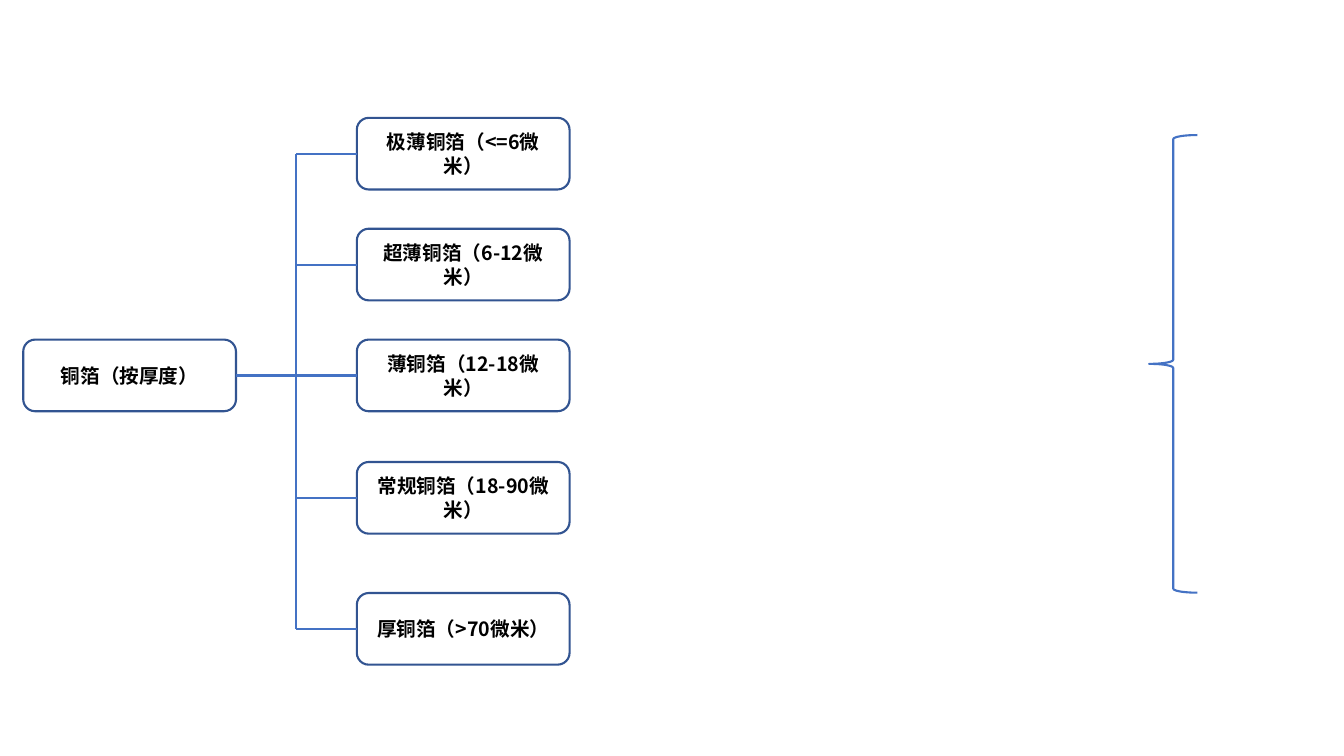
from lxml.etree import SubElement
from pptx import Presentation
from pptx.dml.color import RGBColor
from pptx.enum.shapes import MSO_CONNECTOR, MSO_SHAPE
from pptx.enum.text import MSO_ANCHOR, PP_ALIGN
from pptx.oxml.ns import qn
from pptx.util import Pt

ROOT = ("铜箔（按厚度）", 242.6)
GRADES = [
    ("极薄铜箔（<=6微米）", 84.2),
    ("超薄铜箔（6-12微米）", 163.4),
    ("薄铜箔（12-18微米）", 242.6),
    ("常规铜箔（18-90微米）", 330),
    ("厚铜箔（>70微米）", 423.6),
]
COLORS = {"border": "325491", "line": "4472C4", "text": "000000"}
FONT = "Noto Sans CJK SC"
BOX_WIDTH, BOX_HEIGHT = 152, 51.2
ROOT_LEFT, GRADE_LEFT = 16.6, 254.9
ROOT_RIGHT = ROOT_LEFT + BOX_WIDTH
TRUNK_X = (ROOT_RIGHT + GRADE_LEFT) / 2
BRACE = (820.8, 96.5, 34.5, 326.9)


def color(name):
    return RGBColor.from_string(COLORS[name])


def add_outline(page, kind, frame, line_color):
    shape = page.shapes.add_shape(kind, *map(Pt, frame))
    shape.shadow.inherit = False
    shape.fill.background()
    shape.line.color.rgb = color(line_color)
    shape.line.width = Pt(1.5)
    return shape


def add_box(page, text, left, top):
    frame = (left, top, BOX_WIDTH, BOX_HEIGHT)
    box = add_outline(page, MSO_SHAPE.ROUNDED_RECTANGLE, frame, "border")
    box.text_frame.word_wrap = True
    box.text_frame.vertical_anchor = MSO_ANCHOR.MIDDLE
    para = box.text_frame.paragraphs[0]
    para.alignment = PP_ALIGN.CENTER
    span = para.add_run()
    span.text = text
    span.font.size = Pt(14)
    span.font.bold = True
    span.font.name = FONT
    span.font.color.rgb = color("text")
    SubElement(span.font._element, qn("a:ea"), typeface=FONT)


def add_line(page, *ends):
    line = page.shapes.add_connector(MSO_CONNECTOR.STRAIGHT, *map(Pt, ends))
    line.line.color.rgb = color("line")
    line.line.width = Pt(1.5)
    SubElement(line._element.spPr, qn("a:effectLst"))


def main():
    deck = Presentation()
    deck.slide_width, deck.slide_height = Pt(960), Pt(540)
    page = deck.slides.add_slide(deck.slide_layouts[6])

    add_outline(page, MSO_SHAPE.LEFT_BRACE, BRACE, "line")
    text, top = ROOT
    add_box(page, text, ROOT_LEFT, top)
    root_y = top + BOX_HEIGHT / 2
    add_line(page, ROOT_RIGHT, root_y, TRUNK_X, root_y)

    centers = [top + BOX_HEIGHT / 2 for _, top in GRADES]
    add_line(page, TRUNK_X, centers[0], TRUNK_X, centers[-1])
    for (text, top), center in zip(GRADES, centers):
        add_box(page, text, GRADE_LEFT, top)
        add_line(page, TRUNK_X, center, GRADE_LEFT, center)

    deck.save("out.pptx")


if __name__ == "__main__":
    main()
